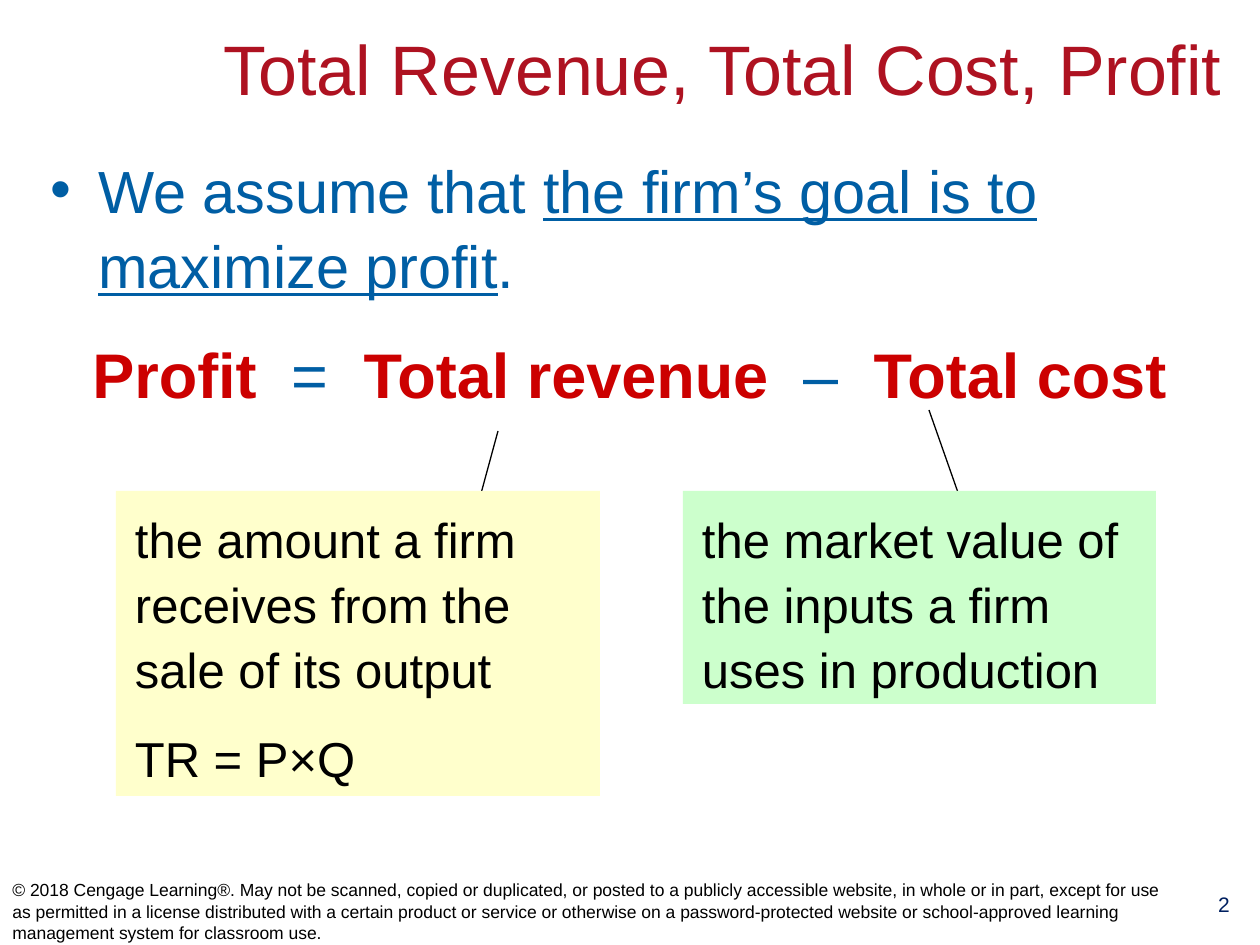
from dataclasses import dataclass

from lxml import etree
from pptx import Presentation
from pptx.dml.color import RGBColor
from pptx.enum.shapes import MSO_CONNECTOR, MSO_SHAPE
from pptx.enum.text import MSO_ANCHOR, PP_ALIGN
from pptx.oxml.ns import qn
from pptx.util import Emu, Pt

LEFT, CENTER = PP_ALIGN.LEFT, PP_ALIGN.CENTER
TOP, MIDDLE = MSO_ANCHOR.TOP, MSO_ANCHOR.MIDDLE
RECTANGLE = MSO_SHAPE.RECTANGLE
STRAIGHT = MSO_CONNECTOR.STRAIGHT
PX_PER_INCH = 126


@dataclass(frozen=True)
class Theme:
    font: str = "Arial"
    title: str = "AE1221"
    body: str = "005EA4"
    term: str = "CC0000"
    ink: str = "000000"
    number: str = "002060"
    revenue_fill: str = "FFFFCC"
    cost_fill: str = "CCFFCC"
    title_size: int = 40
    body_size: int = 34
    formula_size: int = 36
    note_size: int = 28
    number_size: int = 12
    footer_size: int = 10


THEME = Theme()

COPYRIGHT = (
    "© 2018 Cengage Learning®. May not be scanned, copied or duplicated, or posted to a "
    "publicly accessible website, in whole or in part, except for use as permitted in a "
    "license distributed with a certain product or service or otherwise on a "
    "password-protected website or school-approved learning management system for "
    "classroom use."
)


def px(n):
    return Emu(round(n * 914400 / PX_PER_INCH))


def add_run(p, text, size, color, bold=False, underline=False):
    r = p.add_run()
    r.text = text
    font = r.font
    font.name, font.size = THEME.font, Pt(size)
    font.bold, font.underline = bold, underline
    font.color.rgb = RGBColor.from_string(color)


def add_text_box(s, box, anchor=TOP):
    tf = s.shapes.add_textbox(*map(px, box)).text_frame
    tf.word_wrap = True
    tf.vertical_anchor = anchor
    return tf


def add_label(s, box, text, size, color, align=LEFT, anchor=TOP, spacing=1.0):
    p = add_text_box(s, box, anchor).paragraphs[0]
    p.alignment, p.line_spacing = align, spacing
    add_run(p, text, size, color)


def set_bullet(p, indent):
    pPr = p._p.get_or_add_pPr()
    pPr.set("marL", str(indent))
    pPr.set("indent", str(-indent))
    etree.SubElement(pPr, qn("a:buFont")).set("typeface", THEME.font)
    etree.SubElement(pPr, qn("a:buChar")).set("char", "•")


def add_body(s):
    tf = add_text_box(s, (38, 144, 1183, 744))
    goal = tf.paragraphs[0]
    set_bullet(goal, px(48))
    goal.line_spacing = 1.05
    for text, underline in (
        ("We assume that ", False),
        ("the firm’s goal is to maximize profit", True),
        (".", False),
    ):
        add_run(goal, text, THEME.body_size, THEME.body, underline=underline)

    formula = tf.add_paragraph()
    formula.alignment, formula.line_spacing = CENTER, 1.05
    formula.space_before = Pt(THEME.formula_size / 2)
    for text in ("Profit", "  =  ", "Total revenue", "  –  ", "Total cost"):
        is_term = not text.startswith(" ")
        color = THEME.term if is_term else THEME.body
        add_run(formula, text, THEME.formula_size, color, bold=is_term)


def add_leader(s, start, end):
    line = s.shapes.add_connector(STRAIGHT, *map(px, start + end))
    line.line.color.rgb = RGBColor.from_string(THEME.ink)
    line.line.width = Pt(0.75)
    etree.SubElement(line._element.spPr, qn("a:effectLst"))


def add_note(s, box, fill, paragraphs):
    note = s.shapes.add_shape(RECTANGLE, *map(px, box))
    note.shadow.inherit = False
    note.fill.solid()
    note.fill.fore_color.rgb = RGBColor.from_string(fill)
    note.line.fill.background()
    tf = note.text_frame
    tf.word_wrap = True
    tf.vertical_anchor = TOP
    tf.margin_left = tf.margin_right = px(19)
    tf.margin_top = tf.margin_bottom = px(13)
    for i, text in enumerate(paragraphs):
        p = tf.add_paragraph() if i else tf.paragraphs[0]
        p.alignment, p.line_spacing = LEFT, 1.1
        if i:
            p.space_before = Pt(THEME.note_size / 2)
        add_run(p, text, THEME.note_size, THEME.ink)


def main():
    prs = Presentation()
    prs.slide_width, prs.slide_height = px(1260), px(945)
    s = prs.slides.add_slide(prs.slide_layouts[6])

    add_label(s, (185, 14, 1075, 118), "Total Revenue, Total Cost, Profit",
              THEME.title_size, THEME.title, CENTER, MIDDLE, spacing=0.9)
    add_body(s)
    add_label(s, (1188, 885, 72, 52), "2", THEME.number_size, THEME.number, CENTER)
    add_label(s, (0, 877, 1186, 68), COPYRIGHT, THEME.footer_size, THEME.ink,
              anchor=MIDDLE)

    add_leader(s, (476, 512), (498, 431))
    add_note(s, (116, 491, 484, 305), THEME.revenue_fill,
             ("the amount a firm receives from the sale of its output", "TR = P×Q"))
    add_leader(s, (961, 501), (929, 410))
    add_note(s, (683, 491, 473, 213), THEME.cost_fill,
             ("the market value of the inputs a firm uses in production",))

    prs.save("out.pptx")


if __name__ == "__main__":
    main()
